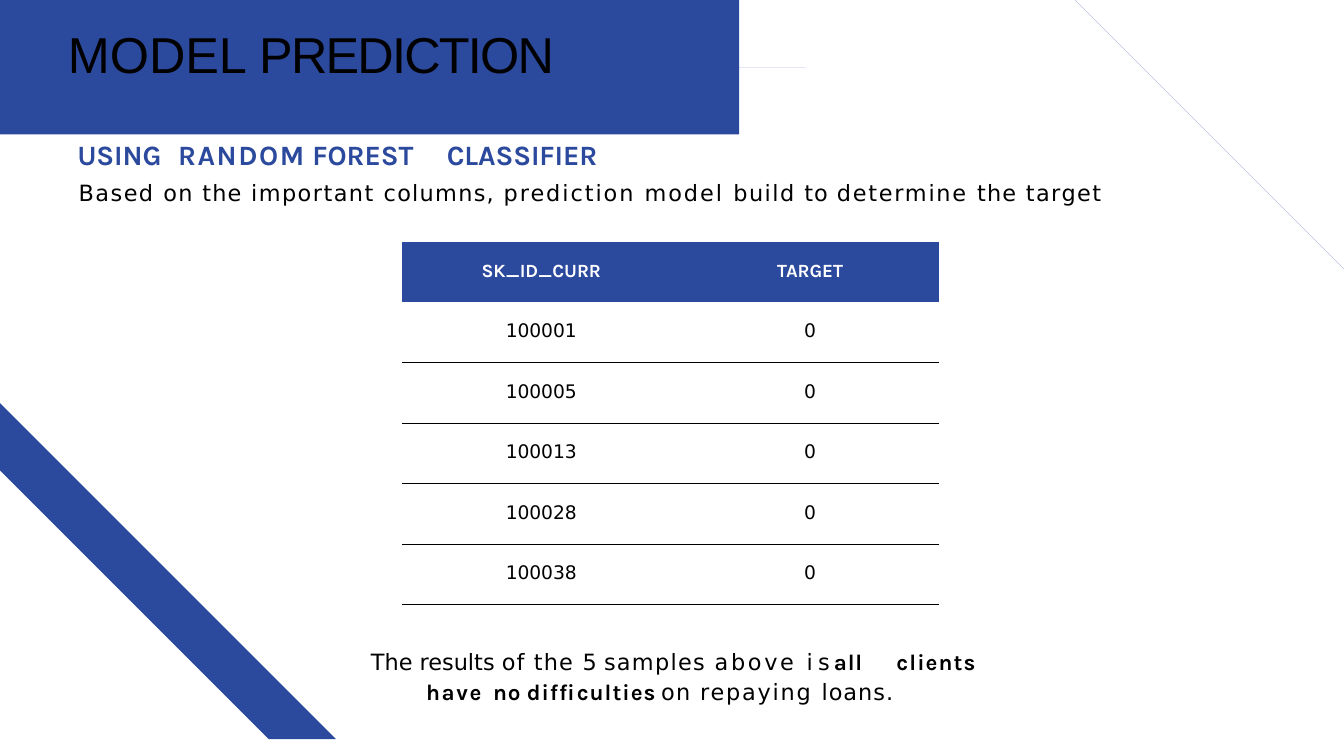
import math

from lxml import etree
from pptx import Presentation
from pptx.dml.color import RGBColor
from pptx.enum.text import MSO_ANCHOR, MSO_AUTO_SIZE, PP_ALIGN
from pptx.oxml.ns import qn
from pptx.util import Inches, Pt

LEFT, CENTER = PP_ALIGN.LEFT, PP_ALIGN.CENTER
MIDDLE, TOP = MSO_ANCHOR.MIDDLE, MSO_ANCHOR.TOP
GROW = MSO_AUTO_SIZE.SHAPE_TO_FIT_TEXT

COLUMNS, ROWS = 20, 11.25
COLORS = {"blue": "2B499D", "black": "000000", "white": "FFFFFF"}
BODY = {"font": "DejaVu Sans", "size": 24, "color": "black", "bold": False}
STRONG = {**BODY, "font": "Karla", "bold": True}
HEADING = {**STRONG, "size": 30, "color": "blue"}
TITLE = {**BODY, "font": "Arial", "size": 54}
TABLE_HEAD = {**STRONG, "size": 20, "color": "white"}
TABLE_BODY = {**BODY, "size": 20}
NO_TABLE_STYLE = "{2D5ABB26-0587-4C30-8999-92F81FD0307C}"


class SlideBuilder:
    """Draws on one slide; lengths are columns and rows of a 20 by 11.25 grid."""

    def __init__(self, presentation):
        self.unit = presentation.slide_width / COLUMNS
        self.slide = presentation.slides.add_slide(presentation.slide_layouts[5])

    def grid(self, *lengths):
        return [round(length * self.unit) for length in lengths]

    def color(self, name):
        return RGBColor.from_string(COLORS[name])

    def outline(self, points, color="blue"):
        builder = self.slide.shapes.build_freeform(*points[0], scale=self.unit)
        builder.add_line_segments(points[1:], close=True)
        shape = builder.convert_to_shape()
        shape.shadow.inherit = False
        shape.fill.solid()
        shape.fill.fore_color.rgb = self.color(color)
        shape.line.fill.background()

    def add_runs(self, paragraph, runs, align=LEFT, before=0, margin=0, indent=0, tabs=()):
        """Fill a paragraph with (text, letter spacing in points, style) runs."""
        paragraph.alignment = align
        paragraph.space_before = Pt(before)
        properties = paragraph._p.get_or_add_pPr()
        left, first = self.grid(margin, indent)
        properties.set("marL", str(left))
        properties.set("indent", str(first))
        if tabs:
            tab_list = etree.SubElement(properties, qn("a:tabLst"))
            for position in self.grid(*tabs):
                etree.SubElement(tab_list, qn("a:tab"), pos=str(position), algn="l")
        for text, spacing, style in runs:
            run = paragraph.add_run()
            run.text = text
            run.font.name = style["font"]
            run.font.size = Pt(style["size"])
            run.font.bold = style["bold"]
            run.font.color.rgb = self.color(style["color"])
            run._r.get_or_add_rPr().set("spc", str(round(spacing * 100)))

    def frame(self, shape, top_inset, anchor=TOP):
        frame = shape.text_frame
        frame.word_wrap = True
        frame.auto_size = GROW
        frame.vertical_anchor = anchor
        frame.margin_left = frame.margin_right = frame.margin_bottom = 0
        frame.margin_top = Inches(top_inset)
        return frame

    def title(self, box, runs):
        title = self.slide.shapes.title
        title.left, title.top, title.width, title.height = self.grid(*box)
        # The title sits in front of the banner
        self.slide.shapes._spTree.append(title._element)
        frame = self.frame(title, 0.01, MIDDLE)
        self.add_runs(frame.paragraphs[0], runs, before=0.9, margin=0.01)

    def text(self, box, top_inset):
        return self.frame(self.slide.shapes.add_textbox(*self.grid(*box)), top_inset)

    def bottom_border(self, cell):
        line = etree.Element(qn("a:lnB"), w=str(Pt(1)))
        fill = etree.SubElement(line, qn("a:solidFill"))
        etree.SubElement(fill, qn("a:srgbClr"), val=COLORS["black"])
        cell._tc.get_or_add_tcPr().insert(0, line)

    def table(self, box, widths, records):
        shape = self.slide.shapes.add_table(len(records), len(widths), *self.grid(*box))
        table = shape.table
        table.horz_banding = False
        table._tbl.tblPr.find(qn("a:tableStyleId")).text = NO_TABLE_STYLE
        for column, width in zip(table.columns, self.grid(*widths)):
            column.width = width
        shape.width = self.grid(box[2])[0]
        for row, record in enumerate(records):
            for column, text in enumerate(record):
                cell = table.cell(row, column)
                cell.margin_left = cell.margin_right = cell.margin_bottom = 0
                cell.margin_top = Inches(0.27)
                if row == 0:
                    cell.fill.solid()
                    cell.fill.fore_color.rgb = self.color("blue")
                else:
                    cell.fill.background()
                    self.bottom_border(cell)
                style = TABLE_BODY if row else TABLE_HEAD
                spacing = -0.5 if text == "0" else -0.1
                self.add_runs(cell.text_frame.paragraphs[0], [(text, spacing, style)],
                              CENTER, before=19.4)


def banner_points(top, bottom, straight_end, radius):
    """A bar from the left edge that ends in half an ellipse."""
    middle, half = (top + bottom) / 2, (bottom - top) / 2
    angles = [math.radians(degrees) for degrees in range(-90, 91, 5)]
    arc = [(straight_end + radius * math.cos(angle), middle + half * math.sin(angle))
           for angle in angles]
    return [(0, top), *arc, (0, bottom)]


def styled(style, *runs):
    return [(text, spacing, style) for text, spacing in runs]


def main():
    presentation = Presentation()
    presentation.slide_width, presentation.slide_height = Inches(COLUMNS), Inches(ROWS)
    builder = SlideBuilder(presentation)

    builder.outline([(0, 6.48), (0, 6.78), (4.47, ROWS), (4.77, ROWS)])
    builder.outline([(16.45, 0), (16.15, 0), (COLUMNS, 3.85), (COLUMNS, 3.55)])

    clients = ["100001", "100005", "100013", "100028", "100038"]
    builder.table((5.98, 3.6, 8.08, 5.4), (4.15, 3.85),
                  [("SK_ID_CURR", "TARGET")] + [(client, "0") for client in clients])

    intro = builder.text((1.14, 1.88, 15.69, 1.21), 0.17)
    builder.add_runs(intro.paragraphs[0], styled(
        HEADING, ("USING\t", -0.1), ("RANDOM\t", 1.7), ("FOREST\tCLASSIFIER", -0.1)),
        before=12.1, margin=0.01, tabs=(1.64, 3.92, 5.73))
    builder.add_runs(intro.add_paragraph(), styled(
        BODY, ("Based ", 1.6), ("on ", 1.4), ("the ", 1.3), ("important ", 1.6),
        ("columns, ", 1.4), ("prediction model ", 2.1), ("build ", 1.6), ("to ", 1),
        ("determine ", 1.9), ("the ", 1.3), ("target", 1.6)),
        before=8.8, margin=0.03)

    result = builder.text((5.51, 9.61, 9.07, 0.89), 0.01).paragraphs[0]
    result.line_spacing = 1.08
    builder.add_runs(
        result,
        styled(BODY, ("The results ", 0), ("of ", 1.2), ("the ", 1.3), ("5 ", 0),
               ("samples ", 1.4), ("above ", 2.9), ("i ", -1.9), ("s ", -3.2))
        + styled(STRONG, ("all\t", 0.8), ("clients ", 1.2), ("have\t", 1.8),
                 ("no\t", 0.7), ("difficulties\t", 1.1))
        + styled(BODY, ("on ", 1.4), ("repaying ", 1.9), ("loans.", 1.1)),
        before=1, margin=0.83, indent=-0.82, tabs=(1.92, 2.52, 4.67, 7.82))

    builder.outline(banner_points(0.38, 1.71, 10.68, 0.9))
    builder.title((1, 0.31, 18, 0.96),
                  styled(TITLE, ("MODEL ", 0), ("PREDICTION", -1.9)))

    presentation.save("out.pptx")


if __name__ == "__main__":
    main()
